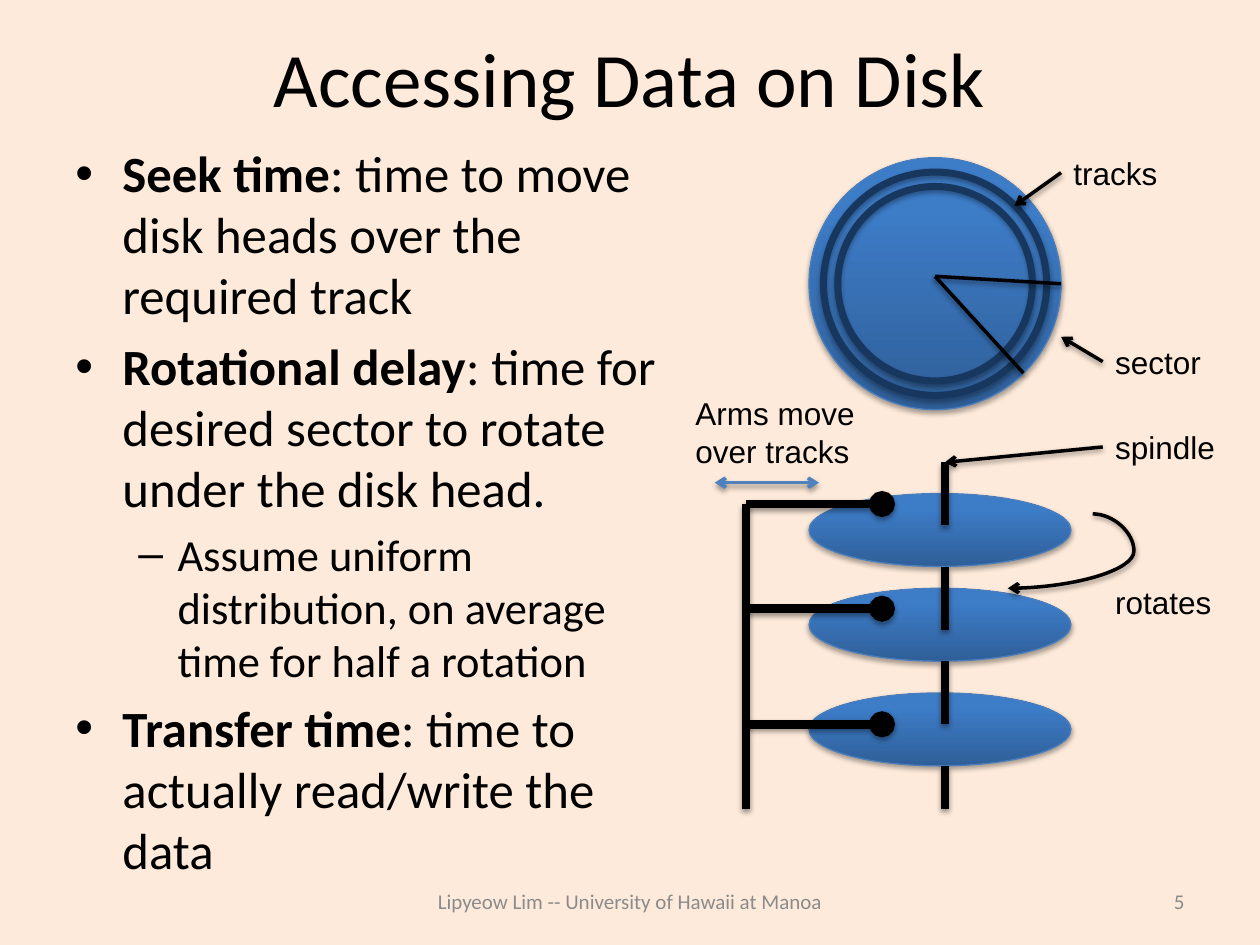
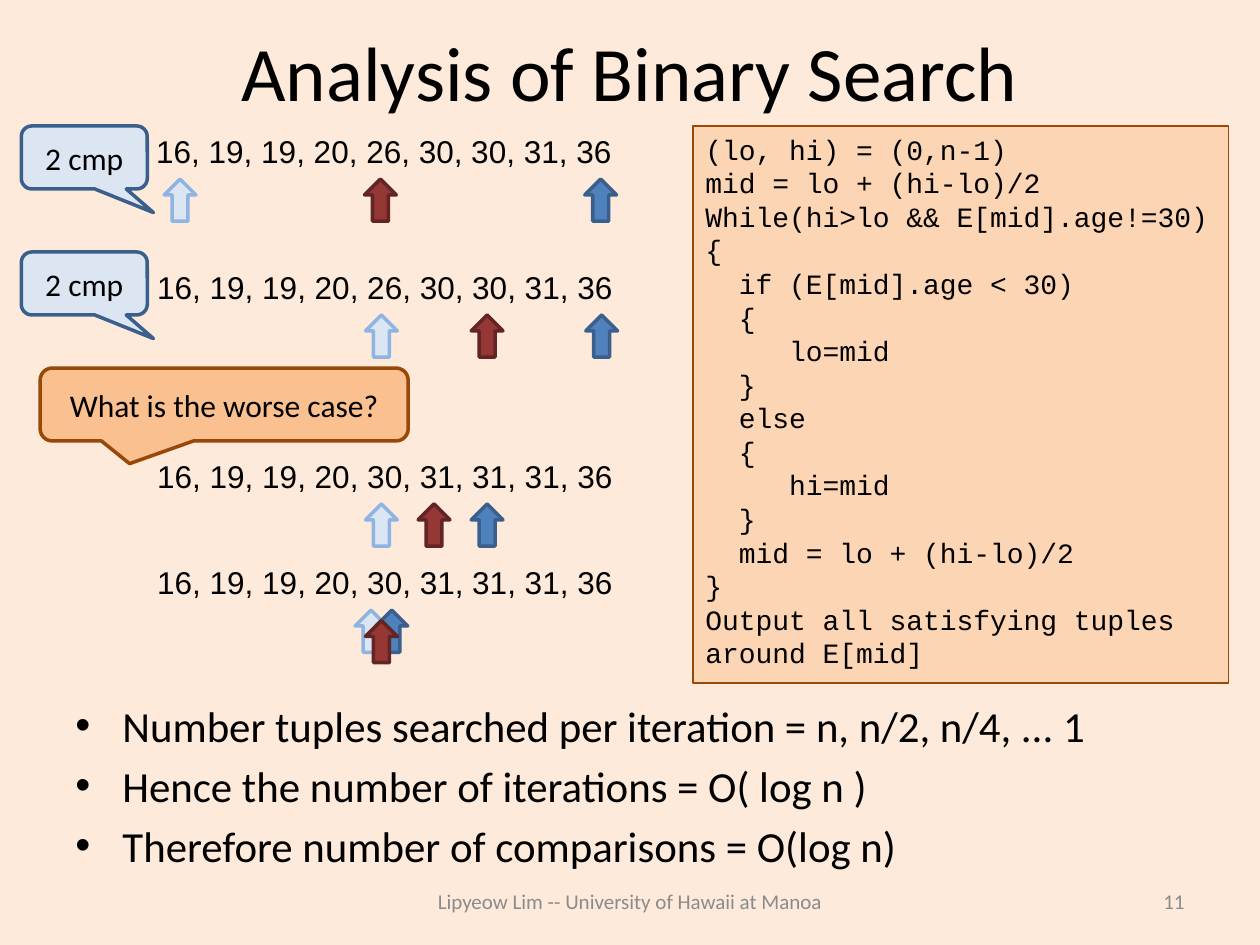
from lxml import etree
from pptx import Presentation
from pptx.dml.color import RGBColor
from pptx.enum import shapes as es, text as et
from pptx.oxml.ns import qn
from pptx.util import Cm, Pt

CREAM = RGBColor(0xFD, 0xEA, 0xDA)
BLACK = RGBColor(0x00, 0x00, 0x00)
GREY = RGBColor(0x8B, 0x8B, 0x8B)
DISK_DARK = RGBColor(0x2F, 0x5F, 0x99)
DISK_LIGHT = RGBColor(0x3D, 0x7C, 0xC7)
DISK_EDGE = RGBColor(0x4B, 0x7E, 0xBC)
NAVY = RGBColor(0x17, 0x37, 0x5E)
BLUE = RGBColor(0x4F, 0x81, 0xBD)
BLUE_EDGE = RGBColor(0x3A, 0x5F, 0x8C)
PALE = RGBColor(0xDC, 0xE6, 0xF2)
PALE_EDGE = RGBColor(0x8E, 0xB4, 0xE3)
RED = RGBColor(0x95, 0x37, 0x35)
RED_EDGE = RGBColor(0x63, 0x25, 0x23)
PEACH = RGBColor(0xFC, 0xD5, 0xB5)
ORANGE = RGBColor(0xFA, 0xC0, 0x90)
BROWN = RGBColor(0x98, 0x48, 0x07)

FOOTER = "Lipyeow Lim -- University of Hawaii at Manoa"
LEFT, CENTER, RIGHT = et.PP_ALIGN.LEFT, et.PP_ALIGN.CENTER, et.PP_ALIGN.RIGHT
OVAL = es.MSO_SHAPE.OVAL
CALLOUT = es.MSO_SHAPE.ROUNDED_RECTANGULAR_CALLOUT

CODE = """(lo, hi) = (0,n-1)
mid = lo + (hi-lo)/2
While(hi>lo && E[mid].age!=30)
{
  if (E[mid].age < 30)
  {
     lo=mid
  }
  else
  {
     hi=mid
  }
  mid = lo + (hi-lo)/2
}
Output all satisfying tuples
around E[mid]"""


# ---- Basic parts ----
def style(p, size, name="Calibri", color=BLACK, align=LEFT):
    p.alignment = align
    p.font.size, p.font.name = Pt(size), name
    p.font.color.rgb = color


def write(tf, lines, size, name="Calibri", color=BLACK, align=LEFT):
    for i, line in enumerate(lines):
        p = tf.add_paragraph() if i else tf.paragraphs[0]
        p.add_run().text = line
        style(p, size, name, color, align)


def add_text(s, x, y, w, h, content, size, name="Calibri", color=BLACK,
             align=LEFT, middle=False, wrap=True):
    tf = s.shapes.add_textbox(Cm(x), Cm(y), Cm(w), Cm(h)).text_frame
    tf.word_wrap = wrap
    if middle:
        tf.vertical_anchor = et.MSO_ANCHOR.MIDDLE
    write(tf, content.split("\n"), size, name, color, align)


def add_label(s, x, y, w, content, h=1.02):
    add_text(s, x, y, w, h, content, 18, "Arial", wrap=False)


def add_shadow(sp, opacity):
    sp_pr = sp._element.spPr
    effects = sp_pr.find(qn("a:effectLst"))
    if effects is None:
        effects = etree.SubElement(sp_pr, qn("a:effectLst"))
    shadow = etree.SubElement(effects, qn("a:outerShdw"), blurRad=str(Pt(3.1)),
                              dist=str(Pt(1.7)), dir="5400000", rotWithShape="0")
    clr = etree.SubElement(shadow, qn("a:srgbClr"), val="000000")
    etree.SubElement(clr, qn("a:alpha"), val=str(opacity * 1000))


def add_shape(s, kind, x, y, w, h, fill, edge, width):
    sp = s.shapes.add_shape(kind, Cm(x), Cm(y), Cm(w), Cm(h))
    sp.shadow.inherit = False
    if fill is None:
        sp.fill.background()
    else:
        sp.fill.solid()
        sp.fill.fore_color.rgb = fill
    sp.line.color.rgb, sp.line.width = edge, Pt(width)
    return sp


def add_disk(s, x, y, w, h):
    sp = add_shape(s, OVAL, x, y, w, h, DISK_LIGHT, DISK_EDGE, 0.75)
    sp.fill.gradient()
    sp.fill.gradient_angle = 90
    dark, light = sp.fill.gradient_stops
    dark.color.rgb, dark.position = DISK_DARK, 0
    light.color.rgb, light.position = DISK_LIGHT, 0.8
    add_shadow(sp, 35)


def add_line(s, x1, y1, x2, y2, width=2, color=BLACK, head=None, tail=None,
             kind=es.MSO_CONNECTOR.STRAIGHT):
    cx = s.shapes.add_connector(kind, Cm(x1), Cm(y1), Cm(x2), Cm(y2))
    cx.line.color.rgb, cx.line.width = color, Pt(width)
    ln = cx._element.spPr.find(qn("a:ln"))
    for tag, end in (("a:headEnd", head), ("a:tailEnd", tail)):
        if end:
            etree.SubElement(ln, qn(tag), type=end)
    add_shadow(cx, 38)
    return cx


# ---- Shared slide frame ----
def new_slide(prs, title, title_h, number):
    s = prs.slides.add_slide(prs.slide_layouts[6])
    s.background.fill.solid()
    s.background.fill.fore_color.rgb = CREAM
    add_text(s, 1.27, 0.76, 22.86, title_h, title, 44, align=CENTER, middle=True)
    add_text(s, 7.62, 17.65, 10.16, 1.02, FOOTER, 12, color=GREY, align=CENTER, middle=True)
    add_text(s, 18.21, 17.65, 5.92, 1.02, number, 12, color=GREY, align=RIGHT, middle=True)
    return s


def add_bullets(s, x, y, w, h, items, sizes):
    """Items are (level, bold lead, rest); sizes are given per level."""
    tf = s.shapes.add_textbox(Cm(x), Cm(y), Cm(w), Cm(h)).text_frame
    tf.word_wrap = True
    for i, (level, lead, rest) in enumerate(items):
        p = tf.add_paragraph() if i else tf.paragraphs[0]
        margin, hang, mark = ((0.95, 0.95, "•"), (2.06, 0.79, "–"))[level]
        p.level = level
        p_pr = p._p.get_or_add_pPr()
        p_pr.set("marL", str(Cm(margin)))
        p_pr.set("indent", str(-Cm(hang)))
        etree.SubElement(p_pr, qn("a:buFont"), typeface="Arial")
        etree.SubElement(p_pr, qn("a:buChar"), char=mark)
        if i:
            p.space_before = Pt(round(sizes[level] * 0.2, 1))
        style(p, sizes[level])
        if lead:
            r = p.add_run()
            r.text, r.font.bold = lead, True
        p.add_run().text = rest


# ---- Disk slide ----
def add_top_view(s, x, y):
    size = 5.08
    add_disk(s, x, y, size, size)
    for ring in (3.92, 4.5):
        gap = (size - ring) / 2
        sp = add_shape(s, OVAL, x + gap, y + gap, ring, ring, None, NAVY, 4)
        add_shadow(sp, 35)
    # Sector edges
    for dx, dy in ((5.08, 2.54), (4.32, 4.34)):
        add_line(s, x + 2.54, y + 2.39, x + dx, y + dy)
    # Labels and pointers
    add_label(s, x + 5.92, y + 3.61, 2.26, "sector")
    add_label(s, x + 5.08, y - 0.2, 2.24, "tracks")
    add_line(s, x + 5.08, y + 0.3, x + 4.14, y + 0.97, tail="arrow")
    add_line(s, x + 5.92, y + 4.11, x + 5.08, y + 3.61, tail="arrow")


def add_side_view(s, x, y):
    spindle, column, bottom = x + 5.28, x + 1.27, y + 8.48
    for dy in (2.13, 4.04, 6.15):
        add_disk(s, x + 2.54, y + dy, 5.28, 1.47)
    for top, end in ((1.5, 2.77), (3.61, 4.88), (5.51, 6.78), (7.62, 8.48)):
        add_line(s, spindle, y + top, spindle, y + end, 5)
    # Arm assembly
    add_line(s, column, y + 2.34, column, bottom, 5)
    for dy in (2.34, 4.45, 6.78):
        add_line(s, column, y + dy, x + 4.01, y + dy, 5, tail="oval")
    add_line(s, x + 0.64, y + 1.91, x + 2.74, y + 1.91, color=BLUE,
             head="arrow", tail="arrow")
    add_label(s, x, y, 3.78, "Arms move\nover tracks", 1.8)
    # Spindle and rotation
    add_label(s, x + 8.46, y + 0.69, 2.54, "spindle")
    add_line(s, x + 8.46, y + 1.19, spindle, y + 1.5, tail="arrow")
    turn = add_line(s, x + 8.26, y + 2.54, x + 6.55, y + 4.04, tail="arrow",
                    kind=es.MSO_CONNECTOR.CURVE)
    geom = turn._element.spPr.find(qn("a:prstGeom"))
    guides = geom.find(qn("a:avLst"))
    if guides is None:
        guides = etree.SubElement(geom, qn("a:avLst"))
    etree.SubElement(guides, qn("a:gd"), name="adj1", fmla="val -48600")
    add_label(s, x + 8.46, y + 3.81, 2.46, "rotates")


def disk_slide(prs):
    s = new_slide(prs, "Accessing Data on Disk", 1.57, "5")
    add_bullets(s, 1.27, 2.74, 12.7, 14.81, [
        (0, "Seek time", ": time to move disk heads over the required track"),
        (0, "Rotational delay", ": time for desired sector to rotate under the disk head."),
        (1, "", "Assume uniform distribution, on average time for half a rotation"),
        (0, "Transfer time", ": time to actually read/write the data"),
    ], (29, 25.4))
    add_top_view(s, 16.31, 3.18)
    add_side_view(s, 13.77, 7.82)


# ---- Binary search slide ----
SLOT_X = {0: 0.41, 4: 4.45, 5: 5.51, 6: 6.58, 8: 8.89}


def add_search_step(s, x, y, numbers, lo, mid, hi):
    add_label(s, x, y, 9.78, numbers)
    shift = 0.21 if lo == hi else 0  # keeps coinciding arrows apart
    for slot, dx, dy, fill, edge in ((lo, -shift, 0, PALE, PALE_EDGE),
                                     (hi, shift, 0, BLUE, BLUE_EDGE),
                                     (mid, 0, shift, RED, RED_EDGE)):
        add_shape(s, es.MSO_SHAPE.UP_ARROW, x + SLOT_X[slot] + dx, y + 1.07 + dy,
                  0.64, 0.85, fill, edge, 2)


def add_callout(s, x, y, w, h, content, tip, fill, edge):
    sp = add_shape(s, CALLOUT, x, y, w, h, fill, edge, 2)
    for i, value in enumerate((*tip, 0.167)):
        sp.adjustments[i] = value
    sp.text_frame.vertical_anchor = et.MSO_ANCHOR.MIDDLE
    write(sp.text_frame, [content], 18, align=CENTER)


def add_code(s, x, y, w, h):
    sp = add_shape(s, es.MSO_SHAPE.RECTANGLE, x, y, w, h, PEACH, BROWN, 0.75)
    sp.text_frame.vertical_anchor = et.MSO_ANCHOR.TOP
    write(sp.text_frame, CODE.split("\n"), 16, "Courier New")


def search_slide(prs):
    s = new_slide(prs, "Analysis of Binary Search", 1.35, "11")
    add_bullets(s, 1.27, 13.97, 22.86, 3.61, [
        (0, "", "Number tuples searched per iteration = n, n/2, n/4, ... 1"),
        (0, "", "Hence the number of iterations = O( log n )"),
        (0, "", "Therefore number of comparisons = O(log n)"),
    ], (24.5,))
    add_code(s, 13.97, 2.54, 10.8, 11.23)
    found = "16, 19, 19, 20, 26, 30, 30, 31, 36"
    worst = "16, 19, 19, 20, 30, 31, 31, 31, 36"
    for x, y, numbers, lo, mid, hi in ((2.9, 2.54, found, 0, 4, 8),
                                       (2.92, 5.28, found, 4, 6, 8),
                                       (2.92, 9.09, worst, 4, 5, 6),
                                       (2.92, 11.23, worst, 4, 4, 4)):
        add_search_step(s, x, y, numbers, lo, mid, hi)
    for y in (2.54, 5.08):
        add_callout(s, 0.43, y, 2.54, 1.27, "2 cmp", (0.549, 0.875), PALE, BLUE_EDGE)
    add_callout(s, 0.81, 7.42, 7.42, 1.47, "What is the worse case?",
                (-0.257, 0.811), ORANGE, BROWN)


def main():
    prs = Presentation()
    prs.slide_width, prs.slide_height = Cm(25.4), Cm(19.05)
    disk_slide(prs)
    search_slide(prs)
    prs.save("out.pptx")


if __name__ == "__main__":
    main()
